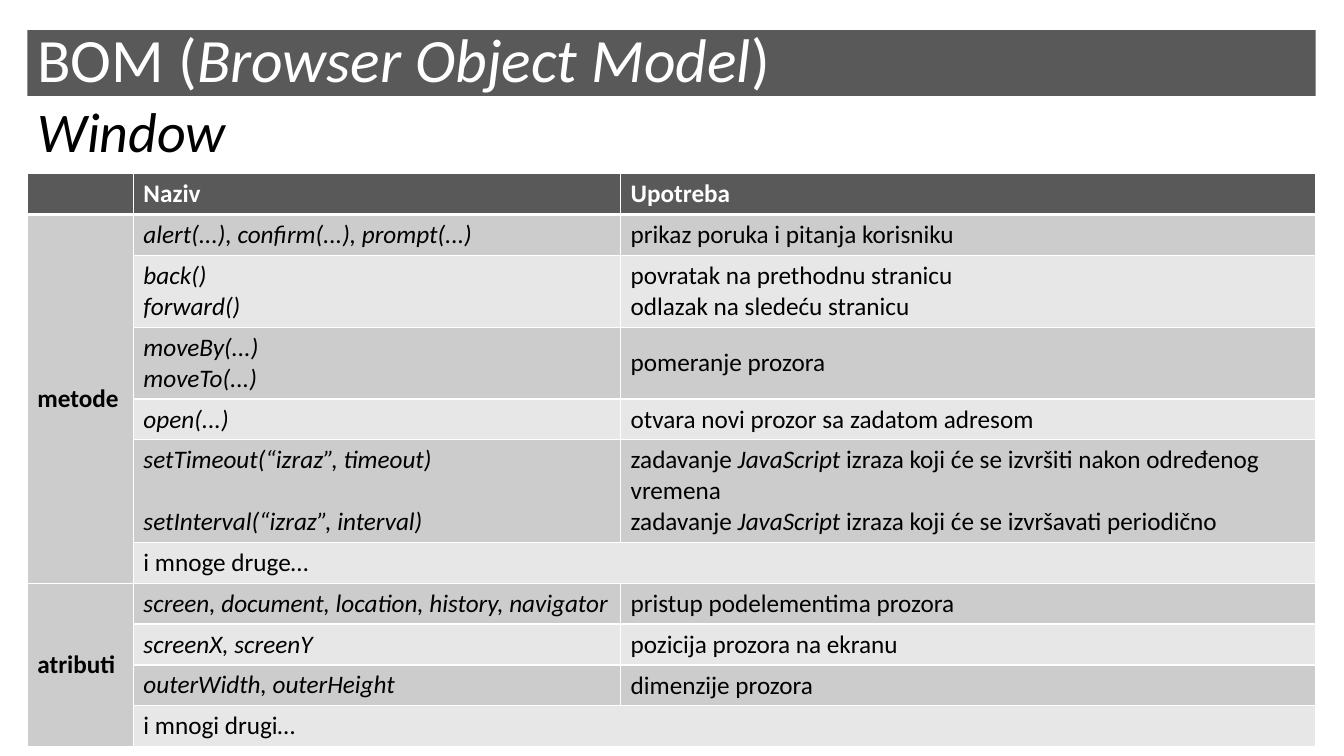
from dataclasses import dataclass

from lxml import etree
from pptx import Presentation
from pptx.dml.color import RGBColor
from pptx.enum.text import MSO_ANCHOR, MSO_AUTO_SIZE, PP_ALIGN
from pptx.oxml.ns import qn
from pptx.util import Pt

MIDDLE, TOP = MSO_ANCHOR.MIDDLE, MSO_ANCHOR.TOP
LEFT, NO_FIT = PP_ALIGN.LEFT, MSO_AUTO_SIZE.NONE
TITLE_ONLY = 5


@dataclass(frozen=True)
class Theme:
    font: str = "Calibri"
    dark: str = "595959"
    band: str = "CCCCCC"
    pale: str = "E7E7E7"
    white: str = "FFFFFF"
    black: str = "000000"
    title: float = 44
    head: float = 40
    body: float = 18
    thin: float = 1
    thick: float = 3


def write(frame, text, size, color, font, bold=False, line=None, gap=0):
    """Fill a text frame; a new line starts a paragraph, *stars* mark italics."""
    for i, part in enumerate(text.split("\n")):
        para = frame.paragraphs[0] if i == 0 else frame.add_paragraph()
        para.alignment = LEFT
        if line:
            para.line_spacing = line
        if i and gap:
            para.space_before = Pt(gap)
        for j, piece in enumerate(part.split("*")):
            if piece:
                run = para.add_run()
                run.text = piece
                run.font.name, run.font.size = font, Pt(size)
                run.font.bold, run.font.italic = bold, j % 2 == 1
                run.font.color.rgb = RGBColor.from_string(color)


class Page:
    def __init__(self, deck, theme):
        self.theme = theme
        self.slide = deck.slides.add_slide(deck.slide_layouts[TITLE_ONLY])

    def place(self, shape, box, text, size, color):
        shape.left, shape.top, shape.width, shape.height = map(Pt, box)
        frame = shape.text_frame
        frame.word_wrap, frame.auto_size = True, NO_FIT
        frame.vertical_anchor = MIDDLE
        write(frame, text, size, color, self.theme.font, line=0.9)

    def title(self, box, text):
        shape = self.slide.shapes.title
        self.paint(shape, self.theme.dark)
        self.place(shape, box, text, self.theme.title, self.theme.white)

    def label(self, box, text):
        shape = self.slide.shapes.add_textbox(*map(Pt, box))
        self.place(shape, box, text, self.theme.head, self.theme.black)

    def paint(self, item, color):
        item.fill.solid()
        item.fill.fore_color.rgb = RGBColor.from_string(color)

    def border(self, cell, row):
        props = cell._tc.get_or_add_tcPr()
        thick = {(0, "B"), (1, "T")}
        for side in "LRTB":
            width = self.theme.thick if (row, side) in thick else self.theme.thin
            line = etree.SubElement(props, qn(f"a:ln{side}"), w=str(Pt(width)))
            fill = etree.SubElement(line, qn("a:solidFill"))
            etree.SubElement(fill, qn("a:srgbClr"), val=self.theme.white)

    def cell(self, cell, row, col, text, gap):
        theme = self.theme
        self.border(cell, row)
        shade = theme.band if col == 0 or row % 2 else theme.pale
        self.paint(cell, shade if row else theme.dark)
        cell.vertical_anchor = MIDDLE if row and col != 1 else TOP
        if text:
            write(cell.text_frame, text, theme.body,
                  theme.black if row else theme.white, theme.font,
                  bold=row == 0 or col == 0, gap=gap)

    def table(self, box, rows, widths, heights, merges, gaps):
        shape = self.slide.shapes.add_table(len(rows), len(widths), *map(Pt, box))
        grid = shape.table
        for col, width in zip(grid.columns, widths):
            col.width = Pt(width)
        for row, height in zip(grid.rows, heights):
            row.height = Pt(height)
        for r, texts in enumerate(rows):
            for c, text in enumerate(texts):
                self.cell(grid.cell(r, c), r, c, text, gaps.get((r, c), 0))
        for first, last in merges:
            grid.cell(*first).merge(grid.cell(*last))
        shape.height = Pt(box[3])


ROWS = [
    ("", "Naziv", "Upotreba"),
    ("metode", "*alert(...), confirm(...), prompt(...)*",
     "prikaz poruka i pitanja korisniku"),
    ("", "*back()*\n*forward()*",
     "povratak na prethodnu stranicu\nodlazak na sledeću stranicu"),
    ("", "*moveBy(...)*\n*moveTo(...)*", "pomeranje prozora"),
    ("", "*open(...)*", "otvara novi prozor sa zadatom adresom"),
    ("", "*setTimeout(“izraz”, timeout)*\n*setInterval(“izraz”, interval)*",
     "zadavanje *JavaScript* izraza koji će se izvršiti nakon određenog vremena\n"
     "zadavanje *JavaScript* izraza koji će se izvršavati periodično"),
    ("", "i mnoge druge…", ""),
    ("atributi", "*screen, document, location, history, navigator*",
     "pristup podelementima prozora"),
    ("", "*screenX, screenY*", "pozicija prozora na ekranu"),
    ("", "*outerWidth, outerHeight*", "dimenzije prozora"),
    ("", "i mnogi drugi…", ""),
]
ONE, TWO = 28.1, 49
HEIGHTS = [ONE, 29.5, TWO, TWO, ONE, TWO] + [ONE] * 5
WIDTHS = [75.8, 348, 496.4]
MERGES = [((1, 0), (6, 0)), ((7, 0), (10, 0)),
          ((6, 1), (6, 2)), ((10, 1), (10, 2))]
GAPS = {(5, 1): 22}  # lines up with the wrapped text beside it


def main():
    deck = Presentation()
    deck.slide_width, deck.slide_height = Pt(960), Pt(540)
    page = Page(deck, Theme())
    left, width = 19.5, sum(WIDTHS)

    # Heading bar and subtitle
    page.title((left, 21.5, width, 47), "BOM (*Browser Object Model*)")
    page.label((left, 75.5, width, 41), "*Window*")

    # Methods and attributes
    page.table((left, 124, width, 404), ROWS, WIDTHS, HEIGHTS, MERGES, GAPS)

    deck.save("out.pptx")


if __name__ == "__main__":
    main()
